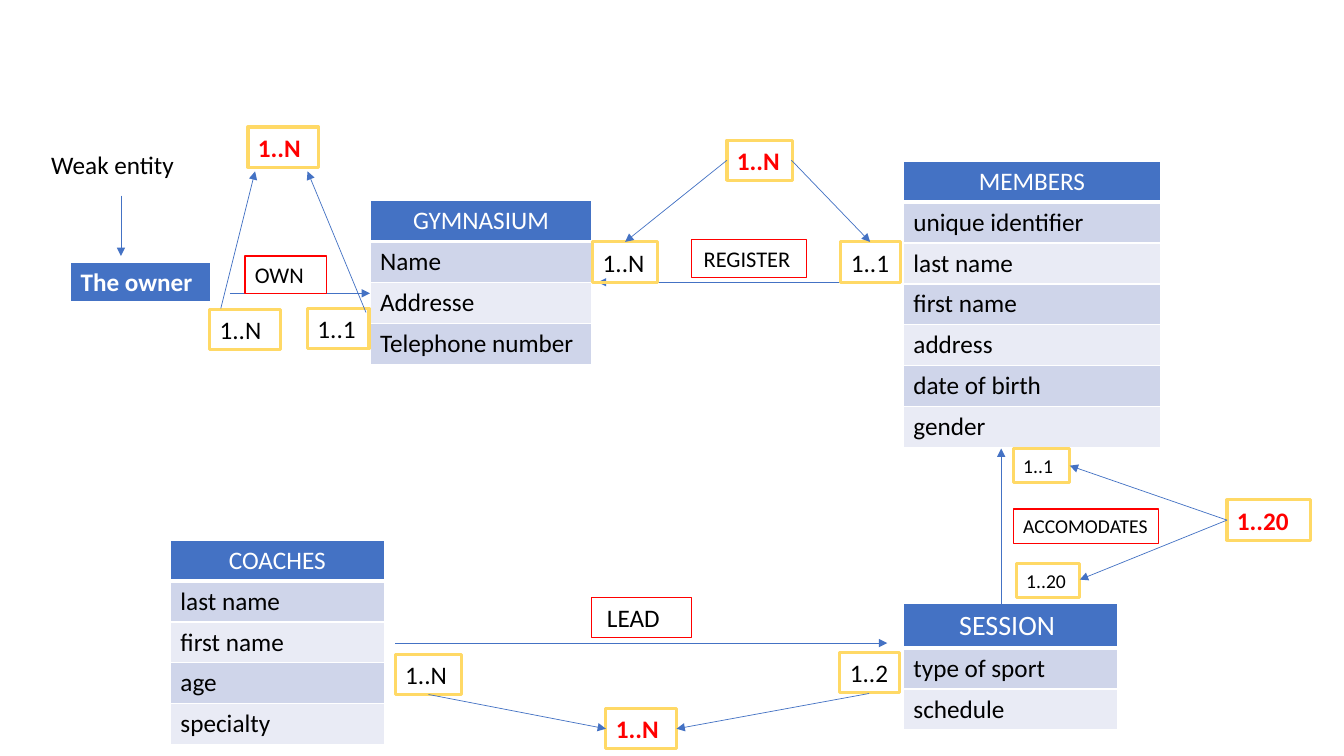
from lxml import etree
from pptx import Presentation
from pptx.dml.color import RGBColor
from pptx.enum.shapes import MSO_CONNECTOR, MSO_SHAPE
from pptx.enum.text import MSO_ANCHOR, PP_ALIGN
from pptx.oxml.ns import qn
from pptx.util import Inches, Pt

BLUE = RGBColor(0x44, 0x72, 0xC4)
BAND_DARK = RGBColor(0xCF, 0xD5, 0xEA)
BAND_LIGHT = RGBColor(0xE9, 0xEB, 0xF5)
YELLOW = RGBColor(0xFF, 0xD9, 0x66)
RED = RGBColor(0xFF, 0, 0)
BLACK = RGBColor(0, 0, 0)
WHITE = RGBColor(0xFF, 0xFF, 0xFF)

RECT = MSO_SHAPE.RECTANGLE
STRAIGHT = MSO_CONNECTOR.STRAIGHT
LEFT, CENTER = PP_ALIGN.LEFT, PP_ALIGN.CENTER
TOP = MSO_ANCHOR.TOP


class Diagram:
    font = "Calibri"
    row_height = 0.4

    def __init__(self, slide):
        self.slide = slide

    def add_text(self, tf, text, size, color, bold=False, align=LEFT):
        p = tf.paragraphs[0]
        p.alignment = align
        r = p.add_run()
        r.text = text
        r.font.name = self.font
        r.font.size = Pt(size)
        r.font.bold = bold
        r.font.color.rgb = color

    def borders(self, cell, bottom):
        tcPr = cell._tc.get_or_add_tcPr()
        for side, width in (("L", 1), ("R", 1), ("T", 1), ("B", bottom)):
            ln = etree.SubElement(tcPr, qn("a:ln" + side), w=str(Pt(width)))
            fill = etree.SubElement(ln, qn("a:solidFill"))
            etree.SubElement(fill, qn("a:srgbClr"), val=str(WHITE))

    def entity(self, x, y, w, name, attributes=(), size=18, bold=False, align=CENTER):
        count = 1 + len(attributes)
        frame = self.slide.shapes.add_table(
            count, 1, Inches(x), Inches(y), Inches(w), Inches(self.row_height * count))
        table = frame.table
        table.horz_banding = False
        for i, text in enumerate((name, *attributes)):
            cell = table.cell(i, 0)
            self.borders(cell, 1 if i else 3)
            cell.fill.solid()
            if i == 0:
                cell.fill.fore_color.rgb = BLUE
                self.add_text(cell.text_frame, text, size, WHITE, bold, align)
            else:
                cell.fill.fore_color.rgb = BAND_DARK if i % 2 else BAND_LIGHT
                self.add_text(cell.text_frame, text, 18, BLACK)

    def box(self, x, y, w, h, text, size, line, width, color=BLACK, bold=False, indent=0.1):
        s = self.slide.shapes.add_shape(RECT, Inches(x), Inches(y), Inches(w), Inches(h))
        s.shadow.inherit = False
        s.fill.background()
        s.line.color.rgb = line
        s.line.width = Pt(width)
        tf = s.text_frame
        tf.word_wrap = True
        tf.vertical_anchor = TOP
        tf.margin_left, tf.margin_right = Inches(indent), Inches(0.02)
        self.add_text(tf, text, size, color, bold)

    def relation(self, x, y, w, h, text, size, indent=0.1):
        self.box(x, y, w, h, text, size, RED, 0.75, indent=indent)

    def cardinality(self, x, y, w, text, size=18, h=0.4):
        self.box(x, y, w, h, text, size, YELLOW, 2.25)

    def maximum(self, x, y, w, text):
        self.box(x, y, w, 0.4, text, 18, YELLOW, 2.25, RED, True)

    def label(self, x, y, w, h, text):
        s = self.slide.shapes.add_textbox(Inches(x), Inches(y), Inches(w), Inches(h))
        s.text_frame.word_wrap = True
        self.add_text(s.text_frame, text, 18, BLACK)

    def arrow(self, x1, y1, x2, y2):
        c = self.slide.shapes.add_connector(
            STRAIGHT, Inches(x1), Inches(y1), Inches(x2), Inches(y2))
        c.line.color.rgb = BLUE
        c.line.width = Pt(0.5)
        spPr = c._element.spPr
        etree.SubElement(spPr.find(qn("a:ln")), qn("a:tailEnd"), type="triangle")
        etree.SubElement(spPr, qn("a:effectLst"))


prs = Presentation()
prs.slide_width, prs.slide_height = Inches(13.33), Inches(7.5)
d = Diagram(prs.slides.add_slide(prs.slide_layouts[6]))

# Entities
d.entity(3.67, 1.99, 2.2, "GYMNASIUM", ("Name", "Addresse", "Telephone number"))
d.entity(8.96, 1.6, 2.55, "MEMBERS", (
    "unique identifier", "last name", "first name", "address", "date of birth", "gender"))
d.entity(8.96, 5.99, 2.12, "SESSION\u00a0", ("type of sport", "schedule"), size=20)
d.entity(1.69, 5.36, 2.12, "COACHES", ("last name", "first name", "age", "specialty"))
d.entity(0.7, 2.6, 1.39, "The owner", bold=True, align=LEFT)
d.label(0.41, 1.43, 2.03, 0.4, "Weak entity")

# Arrows between entities, and from the weak entity label
for ends in (
    (2.28, 2.91, 3.67, 2.91),
    (8.89, 2.8, 5.93, 2.8),
    (9.93, 6.04, 9.93, 4.45),
    (3.92, 6.38, 8.8, 6.38),
    (1.2, 1.94, 1.2, 2.54),
):
    d.arrow(*ends)

# Relations
d.relation(2.43, 2.54, 0.81, 0.37, "OWN", 16)
d.relation(6.86, 2.38, 1.14, 0.37, "REGISTER", 16, indent=0.12)
d.relation(10.05, 5.05, 1.44, 0.34, "ACCOMODATES", 14)
d.relation(5.87, 5.93, 0.99, 0.4, "LEAD", 18, indent=0.15)

# Cardinalities
d.cardinality(3.92, 6.49, 0.66, "1..N")
d.cardinality(8.33, 6.47, 0.59, "1..2")
d.cardinality(10.08, 5.59, 0.63, "1..20", 14, 0.34)
d.cardinality(10.05, 4.45, 0.56, "1..1", 14, 0.34)
d.cardinality(8.34, 2.4, 0.59, "1..1")
d.cardinality(5.88, 2.4, 0.64, "1..N")
d.cardinality(2.08, 3.07, 0.7, "1..N")
d.cardinality(3.05, 3.06, 0.61, "1..1")

# Resulting maximum of each relation
d.maximum(2.46, 1.26, 0.7, "1..N")
d.maximum(12.17, 4.96, 0.83, "1..20")
d.maximum(7.21, 1.39, 0.65, "1..N")
d.maximum(6.01, 7.03, 0.7, "1..N")

# Arrows between cardinalities and maxima
for ends in (
    (2.19, 3.06, 2.53, 1.7),
    (3.63, 3.1, 3.05, 1.7),
    (4.25, 6.89, 6.01, 7.23),
    (8.62, 6.88, 6.71, 7.23),
    (12.17, 5.16, 10.61, 4.62),
    (12.17, 5.16, 10.71, 5.75),
    (7.21, 1.59, 6.2, 2.4),
    (7.85, 1.59, 8.63, 2.4),
):
    d.arrow(*ends)

prs.save("out.pptx")
